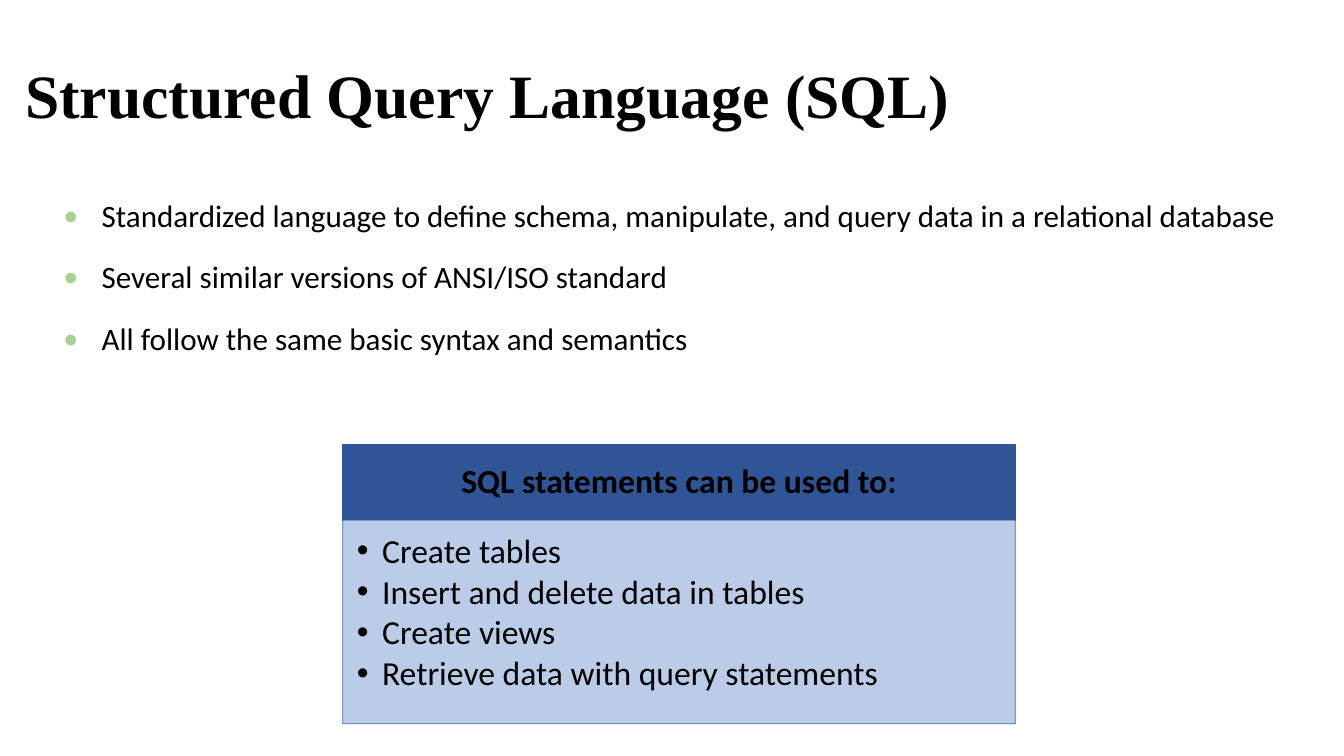
from lxml import etree
from pptx import Presentation
from pptx.dml.color import RGBColor
from pptx.enum.shapes import MSO_SHAPE
from pptx.enum.text import MSO_ANCHOR, PP_ALIGN
from pptx.oxml.ns import qn
from pptx.util import Inches, Pt

RECTANGLE = MSO_SHAPE.RECTANGLE
TOP, MIDDLE = MSO_ANCHOR.TOP, MSO_ANCHOR.MIDDLE
LEFT, CENTER = PP_ALIGN.LEFT, PP_ALIGN.CENTER

COLORS = {"text": "000000", "bullet": "A9D18E", "header": "2F5597", "panel": "B4C7E7"}
BODY_FONT, TITLE_FONT = "Calibri", "Times New Roman"
DEFAULT_INSETS = (0.1, 0.05, 0.1, 0.05)

POINTS = [
    "Standardized language to define schema, manipulate, and query data in a relational database",
    "Several similar versions of ANSI/ISO standard",
    "All follow the same basic syntax and semantics",
]
USES = [
    "Create tables",
    "Insert and delete data in tables",
    "Create views",
    "Retrieve data with query statements",
]


def color(name):
    return RGBColor.from_string(COLORS[name])


def set_frame(shape, anchor, insets=DEFAULT_INSETS):
    frame = shape.text_frame
    frame.word_wrap = True
    frame.vertical_anchor = anchor
    (frame.margin_left, frame.margin_top,
     frame.margin_right, frame.margin_bottom) = map(Inches, insets)
    return frame


def add_bullet(para, mark, indent, tint=None, percent=100):
    properties = para._p.get_or_add_pPr()
    properties.set("marL", str(Inches(indent)))
    properties.set("indent", str(-Inches(indent)))
    if tint:
        holder = etree.SubElement(properties, qn("a:buClr"))
        etree.SubElement(holder, qn("a:srgbClr"), val=COLORS[tint])
    etree.SubElement(properties, qn("a:buSzPct"), val=str(percent * 1000))
    etree.SubElement(properties, qn("a:buFont"), typeface="Arial")
    etree.SubElement(properties, qn("a:buChar"), char=mark)


def write_lines(frame, lines, size, font=BODY_FONT, bold=False, align=LEFT,
                before=0, after=0, bullet=None):
    for index, line in enumerate(lines):
        para = frame.paragraphs[0] if index == 0 else frame.add_paragraph()
        para.alignment = align
        para.line_spacing = 0.9
        para.space_before = Pt(before if index else 0)
        para.space_after = Pt(after)
        if bullet:
            add_bullet(para, **bullet)
        span = para.add_run()
        span.text = line
        span.font.name = font
        span.font.size = Pt(size)
        span.font.bold = bold
        span.font.color.rgb = color("text")


def add_block(page, box, fill, opacity=100):
    block = page.shapes.add_shape(RECTANGLE, *map(Inches, box))
    block.shadow.inherit = False
    block.fill.solid()
    block.fill.fore_color.rgb = color(fill)
    block.line.color.rgb = color("header")
    block.line.width = Pt(0.5)
    if opacity < 100:
        for tint in block._element.spPr.iter(qn("a:srgbClr")):
            etree.SubElement(tint, qn("a:alpha"), val=str(opacity * 1000))
    return block


def add_title(page, box):
    frame = set_frame(page.shapes.add_textbox(*map(Inches, box)), MIDDLE)
    write_lines(frame, ["Structured Query Language (SQL)"], 44, TITLE_FONT, bold=True)


def add_points(page, box):
    frame = set_frame(page.shapes.add_textbox(*map(Inches, box)), TOP)
    write_lines(frame, POINTS, 22.2, before=20,
                bullet={"mark": "●", "indent": 0.38, "tint": "bullet", "percent": 80})


def add_uses_card(page, box, header_height=0.75):
    left, top, width, height = box

    # Header band
    header = add_block(page, (left, top, width, header_height), "header")
    frame = set_frame(header, MIDDLE, (0.19, 0.11, 0.19, 0.11))
    write_lines(frame, ["SQL statements can be used to:"], 24, bold=True, align=CENTER)

    # List panel
    panel_box = (left, top + header_height, width, height - header_height)
    panel = add_block(page, panel_box, "panel", opacity=90)
    frame = set_frame(panel, TOP, (0.14, 0.14, 0.19, 0.21))
    write_lines(frame, USES, 24, after=3.2, bullet={"mark": "•", "indent": 0.25})


def main():
    deck = Presentation()
    deck.slide_width, deck.slide_height = Inches(13.33), Inches(7.5)
    page = deck.slides.add_slide(deck.slide_layouts[6])
    add_title(page, (0.15, 0.44, 11.39, 1.08))
    add_points(page, (0.53, 1.94, 12.41, 1.81))
    add_uses_card(page, (3.4, 4.41, 6.67, 2.77))
    deck.save("out.pptx")


if __name__ == "__main__":
    main()
